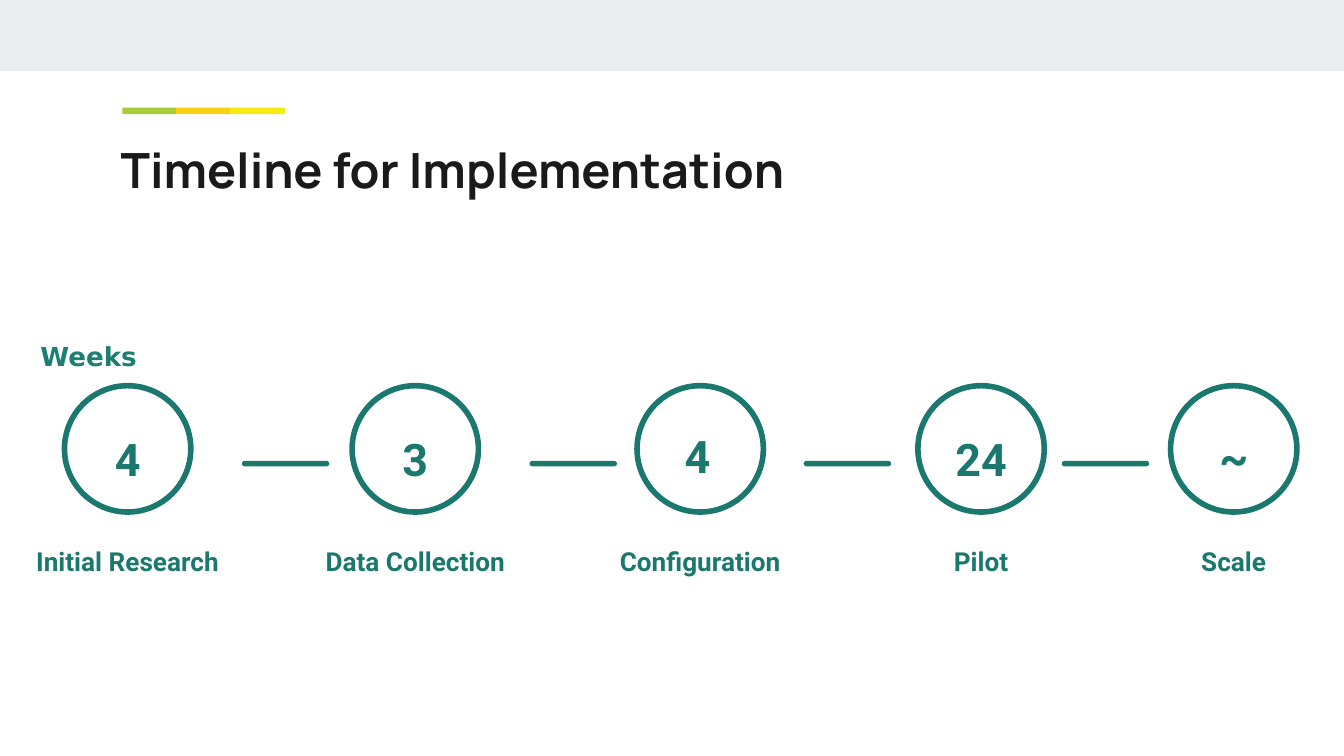
"""Build the implementation timeline slide."""
import dataclasses
import typing

import pptx
import pptx.dml.color
import pptx.enum.shapes
import pptx.enum.text
import pptx.util

Inches = pptx.util.Inches
Kind = pptx.enum.shapes.MSO_SHAPE
Align = pptx.enum.text.PP_ALIGN
Anchor = pptx.enum.text.MSO_ANCHOR
TEAL = "1B786E"
CIRCLE_SIZE = 0.94


@dataclasses.dataclass(frozen=True)
class Area:
    left: float
    top: float
    width: float
    height: float

    def lengths(self) -> list[int]:
        return [Inches(value) for value in dataclasses.astuple(self)]


@dataclasses.dataclass(frozen=True)
class TextStyle:
    size: int
    font: str = "Roboto"
    color: str = TEAL
    align: Align = Align.CENTER
    anchor: Anchor = Anchor.TOP
    line_spacing: float = 1.15


@dataclasses.dataclass(frozen=True)
class Stage:
    name: str
    weeks: str
    center: float
    dash_left: typing.Optional[float] = None
    weeks_top: float = 3.05
    weeks_shift: float = 0


TITLE = TextStyle(26, "Manrope", "1A1A1A", Align.LEFT, line_spacing=1)
UNIT = TextStyle(14, "DejaVu Sans", "1D7E74", line_spacing=1)
NUMBER = TextStyle(24)
LABEL = TextStyle(14, anchor=Anchor.BOTTOM)
ACCENTS = ["A7CE38", "F8D212", "F6EB12"]
STAGES = [
    Stage("Initial Research", "4", 0.95, 1.8),
    Stage("Data Collection", "3", 3.09, 3.94),
    Stage("Configuration", "4", 5.21, 5.98, 3.03, -0.02),
    Stage("Pilot", "24", 7.3, 7.9),
    Stage("Scale", "~", 9.18, weeks_top=3.04),
]


def rgb(value: str) -> pptx.dml.color.RGBColor:
    return pptx.dml.color.RGBColor.from_string(value)


def add_filled(page, kind: Kind, area: Area, color: str):
    shape = page.shapes.add_shape(kind, *area.lengths())
    shape.shadow.inherit = False
    shape.fill.solid()
    shape.fill.fore_color.rgb = rgb(color)
    shape.line.fill.background()
    return shape


def add_circle(page, area: Area) -> None:
    circle = page.shapes.add_shape(Kind.OVAL, *area.lengths())
    circle.shadow.inherit = False
    circle.fill.background()
    circle.line.color.rgb = rgb(TEAL)
    circle.line.width = pptx.util.Pt(3)


def add_text(page, area: Area, text: str, style: TextStyle) -> None:
    frame = page.shapes.add_textbox(*area.lengths()).text_frame
    frame.word_wrap = True
    frame.vertical_anchor = style.anchor
    frame.margin_left = frame.margin_right = Inches(0.1)
    frame.margin_top = frame.margin_bottom = Inches(0.1)
    para = frame.paragraphs[0]
    para.text = text
    para.alignment = style.align
    para.line_spacing = style.line_spacing
    para.font.name = style.font
    para.font.size = pptx.util.Pt(style.size)
    para.font.bold = True
    para.font.color.rgb = rgb(style.color)


def add_stage(page, stage: Stage) -> None:
    if stage.dash_left is not None:
        dash = add_filled(page, Kind.ROUNDED_RECTANGLE,
                          Area(stage.dash_left, 3.43, 0.65, 0.04), TEAL)
        dash.adjustments[0] = 0.5
    add_circle(page, Area(stage.center - CIRCLE_SIZE / 2, 2.87, CIRCLE_SIZE, CIRCLE_SIZE))
    weeks_left = stage.center + stage.weeks_shift - 0.69 / 2
    add_text(page, Area(weeks_left, stage.weeks_top, 0.69, 0.51), stage.weeks, NUMBER)
    add_text(page, Area(stage.center - 2.7 / 2, 3.69, 2.7, 0.7), stage.name, LABEL)


def main() -> None:
    deck = pptx.Presentation()
    deck.slide_width = Inches(10)
    deck.slide_height = deck.slide_width * 9 // 16
    page = deck.slides.add_slide(deck.slide_layouts[6])
    add_filled(page, Kind.RECTANGLE, Area(0, 0, 10, 0.53), "E9EDEE")
    for index, color in enumerate(ACCENTS):
        add_filled(page, Kind.RECTANGLE, Area(0.91 + 0.4 * index, 0.8, 0.41, 0.05), color)
    add_text(page, Area(0.8, 0.94, 8.41, 0.59), "Timeline for Implementation", TITLE)
    for stage in STAGES:
        add_stage(page, stage)
    add_text(page, Area(0, 2.43, 1.32, 0.45), "Weeks", UNIT)
    deck.save("out.pptx")


if __name__ == "__main__":
    main()
